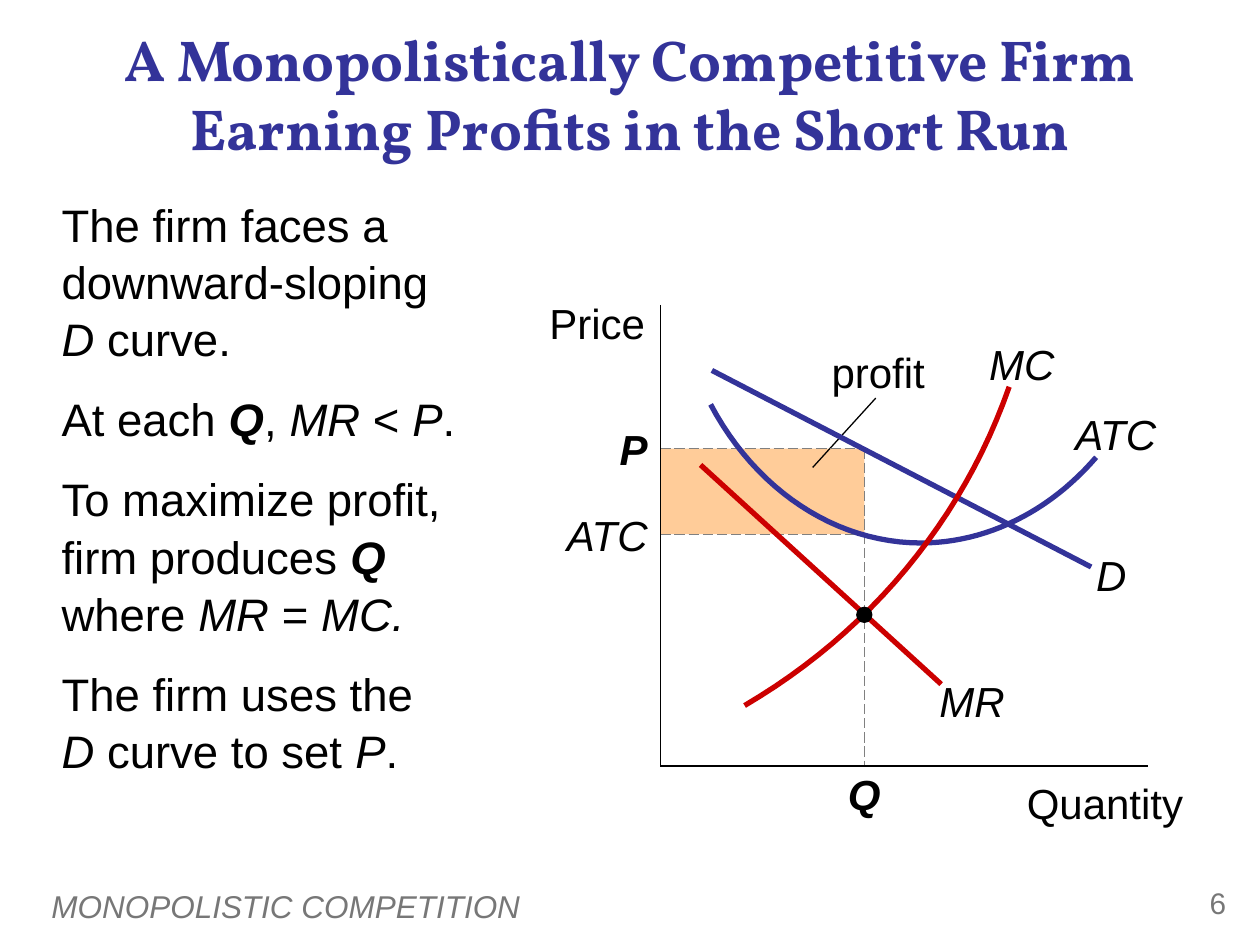
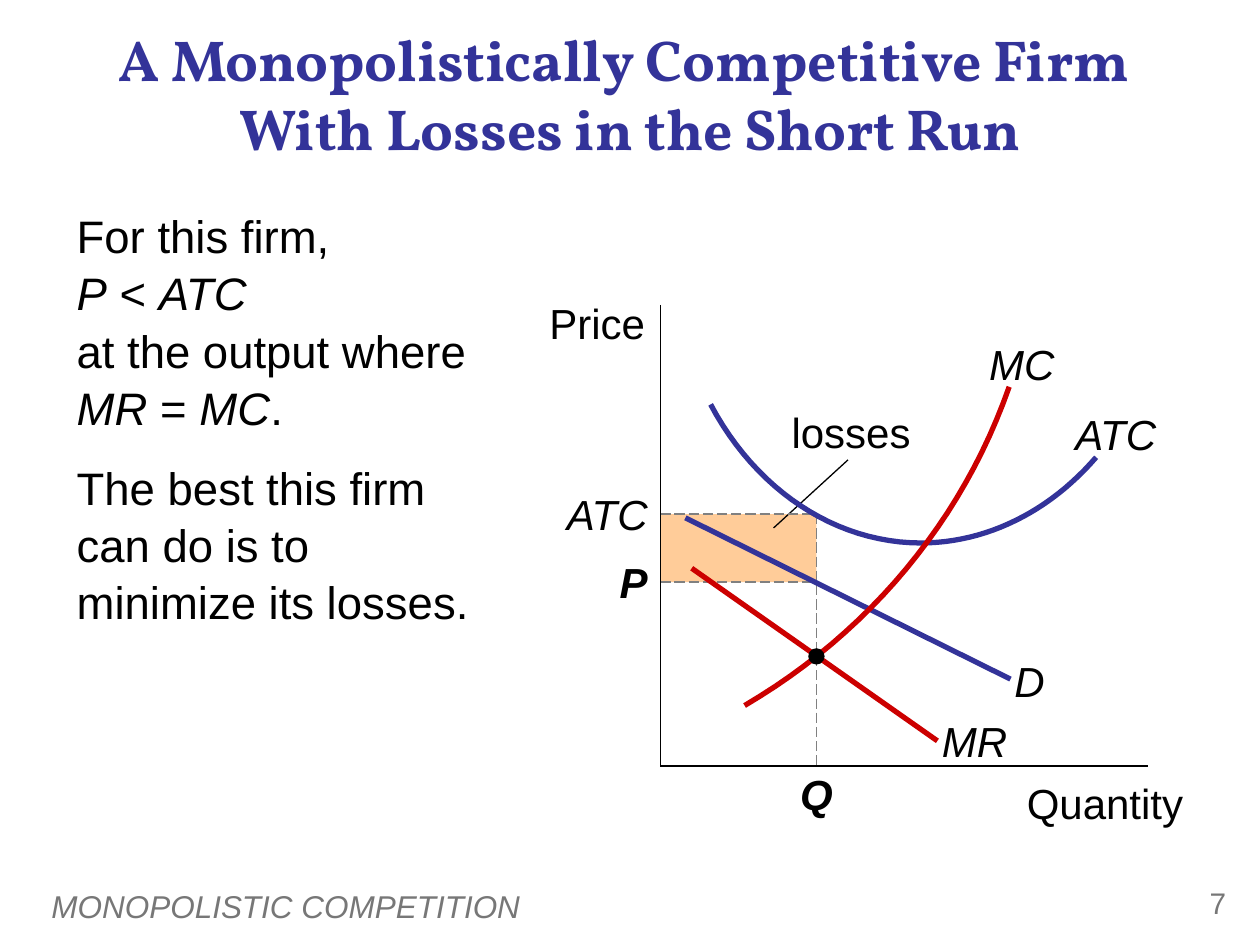
import dataclasses

import lxml.etree
import pptx
import pptx.dml.color
import pptx.enum.dml
import pptx.enum.shapes
import pptx.enum.text
import pptx.oxml.ns
import pptx.util

Inches = pptx.util.Inches
Pt = pptx.util.Pt
RGBColor = pptx.dml.color.RGBColor
Align = pptx.enum.text.PP_ALIGN
Anchor = pptx.enum.text.MSO_ANCHOR
Shape = pptx.enum.shapes.MSO_SHAPE

BLACK = RGBColor(0x00, 0x00, 0x00)
GREY = RGBColor(0x77, 0x77, 0x77)
GUIDE_GREY = RGBColor(0x80, 0x80, 0x80)
BLUE = RGBColor(0x33, 0x33, 0x99)
RED = RGBColor(0xCC, 0x00, 0x00)
PEACH = RGBColor(0xFF, 0xCC, 0x99)

BODY_FONT = "Arial"
TITLE_FONT = "Vollkorn"

TITLE_BOX = (0.5, 0.29, 9, 0.89)
FOOTER_BOX = (0.31, 6.99, 8.02, 0.4)
NUMBER_BOX = (9.08, 6.97, 0.75, 0.4)
PLOT_BOX = (5.24, 2.42, 3.87, 3.66)

COST_CURVE = [(3.46, 1.21), (3.09, 1.64), (2.59, 1.89), (2.07, 1.89),
              (1.39, 1.89), (0.76, 1.47), (0.4, 0.79)]
MARGINAL_COST_CURVE = [(0.67, 3.18), (1.66, 2.6), (2.4, 1.71), (2.77, 0.65)]
CURVE_STEPS = 24
LABEL_HEIGHT = 0.4
DOT_SIZE = 0.13


@dataclasses.dataclass
class Market:
    """Positions of one firm's curves, in inches from the plot's top left."""
    quantity: float
    price: float
    cost: float
    crossing: float
    demand: tuple
    demand_label: tuple
    revenue: tuple
    revenue_label: tuple
    note: str
    note_box: tuple
    pointer: tuple


PROFIT_MARKET = Market(
    quantity=1.62, price=1.14, cost=1.82, crossing=2.46,
    demand=((0.41, 0.52), (3.42, 2.08)), demand_label=(3.34, 1.94),
    revenue=((0.32, 1.27), (2.23, 3.01)), revenue_label=(2.15, 2.94),
    note="profit", note_box=(1.2, 0.33, 1.06),
    pointer=((1.21, 1.29), (1.71, 0.74)))

LOSS_MARKET = Market(
    quantity=1.24, price=2.2, cost=1.66, crossing=2.79,
    demand=((0.2, 1.69), (2.78, 2.97)), demand_label=(2.69, 2.78),
    revenue=((0.25, 2.09), (2.2, 3.46)), revenue_label=(2.17, 3.26),
    note="losses", note_box=(0.88, 0.81, 1.27),
    pointer=((0.9, 1.77), (1.49, 1.23)))

PROFIT_TEXT = [
    "The firm faces a downward-sloping \n_D_ curve.",
    "At each *_Q_*, _MR_ < _P_.",
    "To maximize profit, firm produces *_Q_* where _MR_ = _MC._",
    "The firm uses the \n_D_ curve to set _P_.",
]
LOSS_TEXT = [
    "For this firm, \n_P_ < _ATC \n_at the output where _MR_ = _MC_.",
    "The best this firm can do is to minimize its losses.",
]


def add_spans(para, text, size, color, font):
    """Fill a paragraph, where * toggles bold and _ toggles italic."""
    for bold, bold_part in enumerate(text.split("*")):
        for italic, part in enumerate(bold_part.split("_")):
            for index, line in enumerate(part.split("\n")):
                if index:
                    para.add_line_break()
                if not line:
                    continue
                span = para.add_run()
                span.text = line
                span.font.name = font
                span.font.size = Pt(size)
                span.font.color.rgb = color
                span.font.bold = bold % 2 == 1
                span.font.italic = italic % 2 == 1


def add_text(page, box, paragraphs, size=24, color=BLACK, font=BODY_FONT,
             align=Align.LEFT, anchor=Anchor.TOP, inset=True,
             line_spacing=None, space_before=0):
    """Add a wrapping text box with one format for all its paragraphs."""
    frame = page.shapes.add_textbox(*map(Inches, box)).text_frame
    frame.word_wrap = True
    frame.vertical_anchor = anchor
    if not inset:
        frame.margin_left = frame.margin_right = 0
        frame.margin_top = frame.margin_bottom = 0
    for index, text in enumerate(paragraphs):
        para = frame.add_paragraph() if index else frame.paragraphs[0]
        para.alignment = align
        para.line_spacing = line_spacing
        para.space_before = Pt(space_before if index else 0)
        add_spans(para, text, size, color, font)


class Plot:
    """Draws on a page at positions relative to a box."""

    def __init__(self, page, box):
        self.page = page
        self.left, self.top, self.width, self.height = box

    def place(self, x, y):
        """Return a slide position for a position in the box."""
        return Inches(self.left + x), Inches(self.top + y)

    def label(self, text, x, y, width, align=Align.CENTER):
        """Add a label without insets."""
        box = (self.left + x, self.top + y, width, LABEL_HEIGHT)
        add_text(self.page, box, [text], align=align, inset=False)

    def line(self, start, end, color=BLACK, weight=0.75, dashed=False):
        """Add a straight line."""
        line = self.page.shapes.add_connector(
            pptx.enum.shapes.MSO_CONNECTOR.STRAIGHT,
            *self.place(*start), *self.place(*end))
        line.line.color.rgb = color
        line.line.width = Pt(weight)
        if dashed:
            line.line.dash_style = pptx.enum.dml.MSO_LINE.LONG_DASH
        lxml.etree.SubElement(line._element.spPr,
                              pptx.oxml.ns.qn("a:effectLst"))

    def solid(self, kind, x, y, width, height, color):
        """Add a filled shape without an outline."""
        shape = self.page.shapes.add_shape(
            kind, *self.place(x, y), Inches(width), Inches(height))
        shape.shadow.inherit = False
        shape.fill.solid()
        shape.fill.fore_color.rgb = color
        shape.line.fill.background()

    def curve(self, controls, color):
        """Add a smooth curve through joined cubic Bezier segments."""
        points = [self.place(*point) for point in bezier_points(controls)]
        builder = self.page.shapes.build_freeform(*points[0])
        builder.add_line_segments(points[1:], close=False)
        shape = builder.convert_to_shape()
        shape.shadow.inherit = False
        shape.fill.background()
        shape.line.color.rgb = color
        shape.line.width = Pt(3)


def bezier_points(controls):
    """Return points along joined cubic Bezier segments."""
    points = [controls[0]]
    for first in range(0, len(controls) - 1, 3):
        segment = controls[first:first + 4]
        for step in range(1, CURVE_STEPS + 1):
            t = step / CURVE_STEPS
            weights = ((1 - t) ** 3, 3 * t * (1 - t) ** 2,
                       3 * t ** 2 * (1 - t), t ** 3)
            points.append(tuple(
                sum(weight * value for weight, value in zip(weights, axis))
                for axis in zip(*segment)))
    return points


def draw_area(plot, market):
    """Draw the shaded area, its note and the dashed guides."""
    upper, lower = sorted((market.price, market.cost))
    plot.solid(Shape.RECTANGLE, 0, upper, market.quantity, lower - upper,
               PEACH)
    plot.label(market.note, *market.note_box)
    plot.line(*market.pointer)
    for text, level in (("_ATC_", market.cost), ("*_P_*", market.price)):
        plot.line((0, level), (market.quantity, level), GUIDE_GREY,
                  dashed=True)
        plot.label(text, -0.84, level - 0.2, 0.74, Align.RIGHT)
    plot.line((market.quantity, upper), (market.quantity, plot.height),
              GUIDE_GREY, dashed=True)
    plot.label("*_Q_*", market.quantity - 0.28, plot.height + 0.02, 0.56)


def draw_axes(plot):
    """Draw both axes with their names."""
    plot.line((0, 0), (0, plot.height))
    plot.line((0, plot.height), (plot.width, plot.height))
    plot.label("Quantity", 2.81, plot.height + 0.09, 1.34, Align.RIGHT)
    plot.label("Price", -1.62, -0.06, 1.5, Align.RIGHT)


def draw_curves(plot, market):
    """Draw the cost, demand and revenue curves and their crossing."""
    plot.curve(COST_CURVE, BLUE)
    plot.label("_ATC_", 3.16, 0.82, 0.91)
    plot.line(*market.demand, BLUE, 3)
    plot.label("_D_", *market.demand_label, 0.48)
    plot.line(*market.revenue, RED, 3)
    plot.label("_MR_", *market.revenue_label, 0.65)
    plot.curve(MARGINAL_COST_CURVE, RED)
    plot.label("_MC_", 2.55, 0.27, 0.64)
    plot.solid(Shape.OVAL, market.quantity - DOT_SIZE / 2,
               market.crossing - DOT_SIZE / 2, DOT_SIZE, DOT_SIZE, BLACK)


def add_market_slide(deck, number, title, body, body_box, market):
    """Add a slide with title, text, market diagram and footer."""
    page = deck.slides.add_slide(deck.slide_layouts[6])
    add_text(page, FOOTER_BOX, ["_MONOPOLISTIC COMPETITION_"], size=18,
             color=GREY, anchor=Anchor.MIDDLE)
    add_text(page, NUMBER_BOX, [str(number)], size=17, color=GREY,
             align=Align.RIGHT)
    add_text(page, TITLE_BOX, [f"*{title}*"], size=33, color=BLUE,
             font=TITLE_FONT, align=Align.CENTER, anchor=Anchor.MIDDLE)
    add_text(page, body_box, body, size=26, line_spacing=1.05,
             space_before=13)
    plot = Plot(page, PLOT_BOX)
    draw_area(plot, market)
    draw_axes(plot)
    draw_curves(plot, market)


def main():
    """Build and save the deck."""
    deck = pptx.Presentation()
    deck.slide_width = Inches(10)
    deck.slide_height = Inches(7.5)
    add_market_slide(
        deck, 6, "A Monopolistically Competitive Firm "
        "Earning Profits in the Short Run",
        PROFIT_TEXT, (0.39, 1.49, 3.71, 5.08), PROFIT_MARKET)
    add_market_slide(
        deck, 7, "A Monopolistically Competitive Firm \n"
        "With Losses in the Short Run",
        LOSS_TEXT, (0.51, 1.58, 3.41, 4.97), LOSS_MARKET)
    deck.save("out.pptx")


if __name__ == "__main__":
    main()
